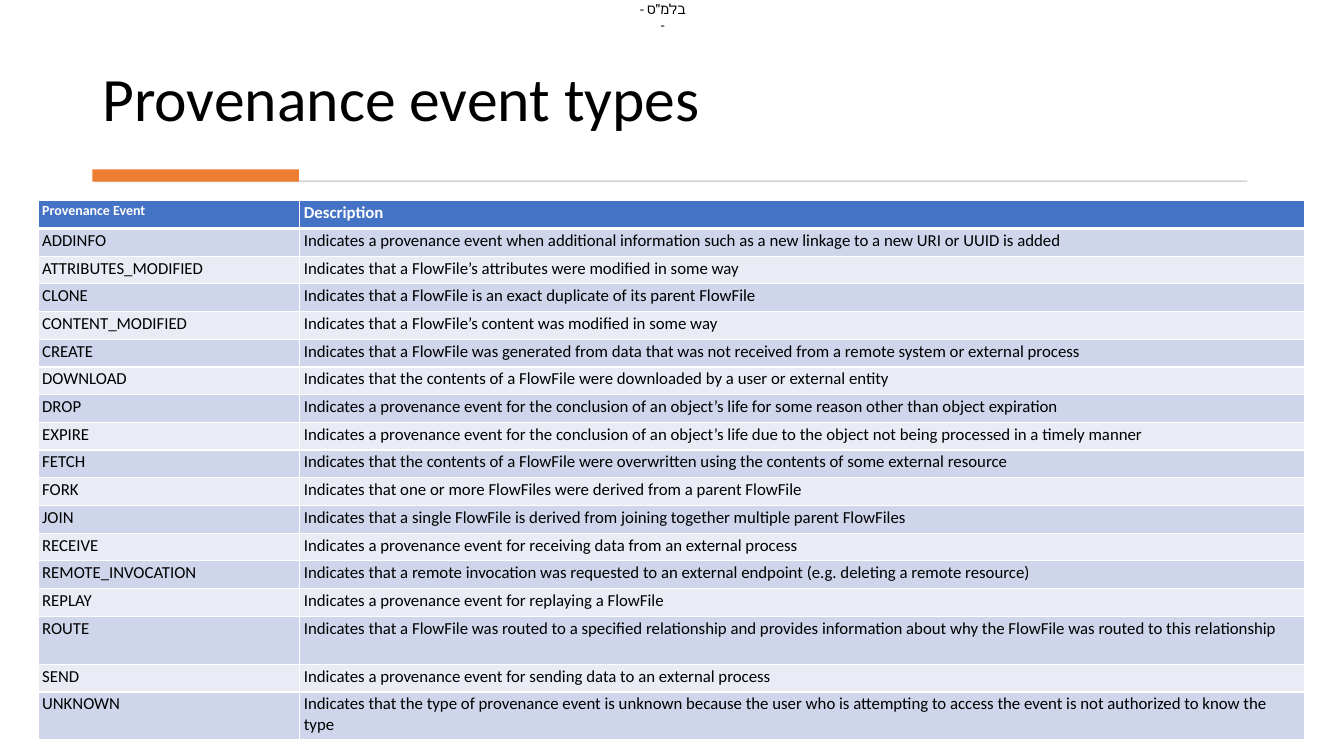
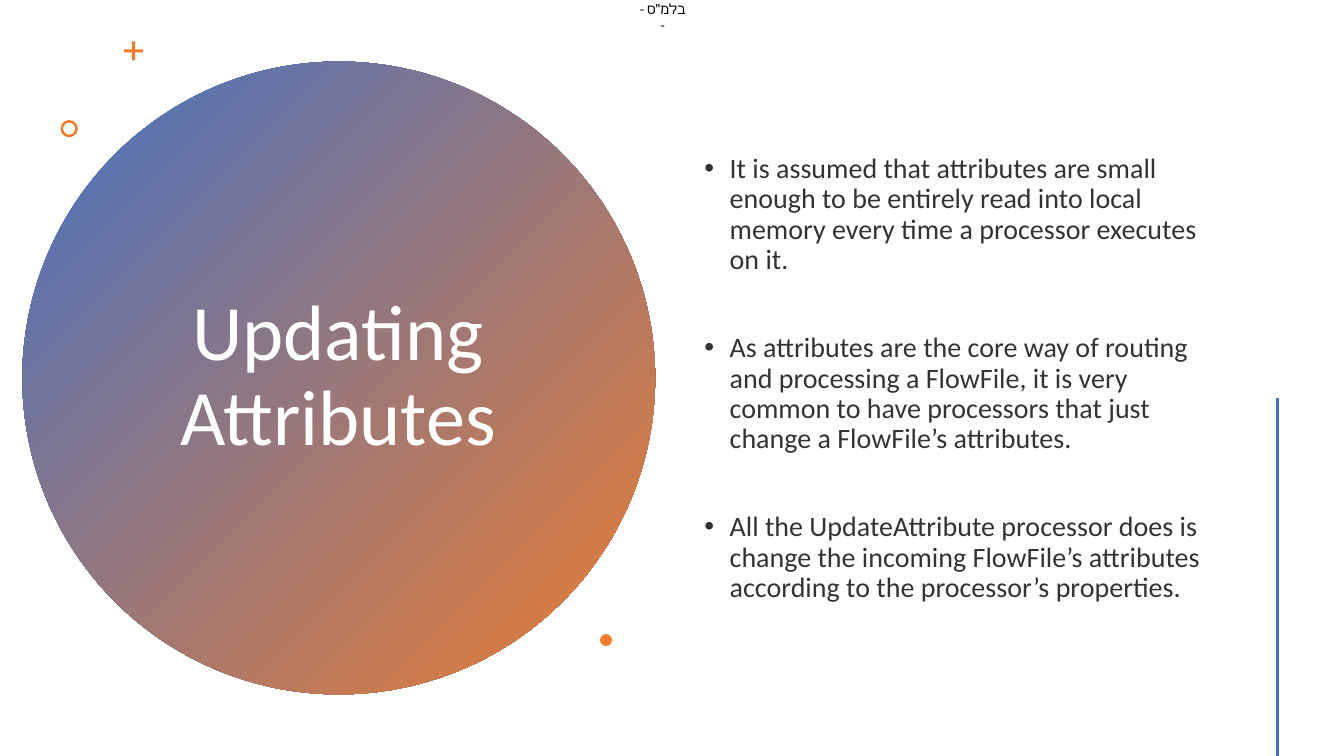
from lxml import etree
from pptx import Presentation, util as u
from pptx.dml.color import RGBColor
from pptx.enum import shapes, text
from pptx.oxml import ns

Pt = u.Pt
BLUE = RGBColor(0x44, 0x72, 0xC4)
ORANGE = RGBColor(0xED, 0x7D, 0x31)
BLACK = RGBColor(0, 0, 0)
WHITE = RGBColor(0xFF, 0xFF, 0xFF)
SOFT_BLACK = RGBColor(0x33, 0x33, 0x33)
GREY = RGBColor(0xD5, 0xD5, 0xD5)
BANDS = RGBColor(0xE9, 0xEB, 0xF5), RGBColor(0xCF, 0xD5, 0xEA)
FONT = "Calibri"
W, H = 960, 540
TABLE_W, NAME_W = 905, 187
ROW_H, TALL_H = 19.8, 34.3
TALL_ROWS = "ROUTE", "UNKNOWN"
CELL = dict(margin_left=Pt(2.9), margin_right=Pt(2.9),
            margin_top=Pt(1.4), margin_bottom=Pt(1.4))
NO_MARGIN = dict(margin_left=0, margin_right=0, margin_top=0, margin_bottom=0)

EVENTS = [
    ("Provenance Event", "Description"),
    ("ADDINFO", "Indicates a provenance event when additional information such as "
     "a new linkage to a new URI or UUID is added"),
    ("ATTRIBUTES_MODIFIED",
     "Indicates that a FlowFile’s attributes were modified in some way"),
    ("CLONE", "Indicates that a FlowFile is an exact duplicate of its parent FlowFile"),
    ("CONTENT_MODIFIED",
     "Indicates that a FlowFile’s content was modified in some way"),
    ("CREATE", "Indicates that a FlowFile was generated from data that was not "
     "received from a remote system or external process"),
    ("DOWNLOAD", "Indicates that the contents of a FlowFile were downloaded by a "
     "user or external entity"),
    ("DROP", "Indicates a provenance event for the conclusion of an object’s life "
     "for some reason other than object expiration"),
    ("EXPIRE", "Indicates a provenance event for the conclusion of an object’s life "
     "due to the object not being processed in a timely manner"),
    ("FETCH", "Indicates that the contents of a FlowFile were overwritten using the "
     "contents of some external resource"),
    ("FORK", "Indicates that one or more FlowFiles were derived from a parent FlowFile"),
    ("JOIN", "Indicates that a single FlowFile is derived from joining together "
     "multiple parent FlowFiles"),
    ("RECEIVE", "Indicates a provenance event for receiving data from an external process"),
    ("REMOTE_INVOCATION", "Indicates that a remote invocation was requested to an "
     "external endpoint (e.g. deleting a remote resource)"),
    ("REPLAY", "Indicates a provenance event for replaying a FlowFile"),
    ("ROUTE", "Indicates that a FlowFile was routed to a specified relationship and "
     "provides information about why the FlowFile was routed to this relationship"),
    ("SEND", "Indicates a provenance event for sending data to an external process"),
    ("UNKNOWN", "Indicates that the type of provenance event is unknown because the "
     "user who is attempting to access the event is not authorized to know the type"),
]
NOTES = [
    "It is assumed that attributes are small enough to be entirely read into local "
    "memory every time a processor executes on it.",
    "As attributes are the core way of routing and processing a FlowFile, it is very "
    "common to have processors that just change a FlowFile’s attributes.",
    "All the UpdateAttribute processor does is change the incoming FlowFile’s "
    "attributes according to the processor’s properties.",
]


def put(obj, **fmt):
    """Set each given attribute on an object."""
    for name, value in fmt.items():
        setattr(obj, name, value)


def place(sp, box):
    """Move a shape to a box in points."""
    put(sp, **dict(zip(("left", "top", "width", "height"), map(Pt, box))))


def write(p, words, size, color, bold=False, **fmt):
    """Write one run into a paragraph and format both."""
    put(p, **fmt)
    r = p.add_run()
    r.text = words
    put(r.font, name=FONT, size=Pt(size), bold=bold)
    r.font.color.rgb = color


def shape(s, kind, box, color, adjust=None):
    """Add a flat filled shape without outline."""
    sp = s.shapes.add_shape(kind, *map(Pt, box))
    sp.shadow.inherit = False
    sp.line.fill.background()
    sp.fill.solid()
    sp.fill.fore_color.rgb = color
    if adjust is not None:
        sp.adjustments[0] = adjust
    return sp


def title(s, box, words, size, color, anchor, align):
    """Place and format the title placeholder."""
    sp = s.shapes.title
    place(sp, box)
    put(sp.text_frame, vertical_anchor=anchor, word_wrap=True,
        auto_size=text.MSO_AUTO_SIZE.NONE)
    write(sp.text_frame.paragraphs[0], words, size, color,
          alignment=align, line_spacing=0.9)


def marking(s, box):
    """Add the classification mark at the top of a slide."""
    tf = s.shapes.add_textbox(*map(Pt, box)).text_frame
    put(tf, word_wrap=True, auto_size=text.MSO_AUTO_SIZE.SHAPE_TO_FIT_TEXT, **NO_MARGIN)
    write(tf.paragraphs[0], '- בלמ"ס -', 10, BLACK, alignment=text.PP_ALIGN.CENTER)


def new_slide(prs, layout):
    """Add a slide with the shared marking."""
    s = prs.slides.add_slide(prs.slide_layouts[layout])
    marking(s, (455, 0, 36.7, 12))
    return s


def title_rule(s, box):
    """Draw a thin rule with a thick start above it."""
    x, y, w, h = box
    shape(s, shapes.MSO_SHAPE.RECTANGLE, (x + 2, y + h - 1, w - 2, 1.4), GREY)
    shape(s, shapes.MSO_SHAPE.RECTANGLE, (x, y, 147.6, h), ORANGE)


def borders(cell, bottom):
    """Give a cell white borders."""
    tcPr = cell._tc.get_or_add_tcPr()
    for tag, width in (("a:lnL", 1), ("a:lnR", 1), ("a:lnT", 1), ("a:lnB", bottom)):
        ln = etree.SubElement(tcPr, ns.qn(tag), w=str(Pt(width)))
        fill = etree.SubElement(ln, ns.qn("a:solidFill"))
        etree.SubElement(fill, ns.qn("a:srgbClr"), val=str(WHITE))


def event_table(s, x, y, rows):
    """Build the banded table of events."""
    heights = [TALL_H if name in TALL_ROWS else ROW_H for name, _ in rows]
    tbl = s.shapes.add_table(len(rows), 2, Pt(x), Pt(y), Pt(TABLE_W), Pt(sum(heights))).table
    for col, width in zip(tbl.columns, (NAME_W, TABLE_W - NAME_W)):
        col.width = Pt(width)
    for i, (row, height) in enumerate(zip(rows, heights)):
        tbl.rows[i].height = Pt(height)
        head = i == 0
        for j, words in enumerate(row):
            cell = tbl.cell(i, j)
            put(cell, **CELL)
            borders(cell, 3 if head else 1)
            cell.fill.solid()
            cell.fill.fore_color.rgb = BLUE if head else BANDS[i % 2]
            write(cell.text_frame.paragraphs[0], words, 10 if head and j == 0 else 12,
                  WHITE if head else BLACK, head)


def title_circle(s, box, words):
    """Draw the gradient circle, its title and the small ornaments."""
    x, y, w, h = box
    circle = shape(s, shapes.MSO_SHAPE.OVAL, box, BLUE)
    circle.fill.gradient()
    circle.fill.gradient_angle = 315
    for stop, color, position in zip(circle.fill.gradient_stops, (BLUE, ORANGE), (0, 1)):
        stop.color.rgb = color
        stop.position = position
    s.shapes._spTree.insert(2, circle._element)
    title(s, (x + 82, y + 57.5, w - 165, h - 116), words, 56, WHITE,
          text.MSO_ANCHOR.MIDDLE, text.PP_ALIGN.CENTER)
    for kind, dx, dy, size, adjust in (
            (shapes.MSO_SHAPE.CROSS, 72.6, -14.4, 13.6, 0.42),
            (shapes.MSO_SHAPE.DONUT, 27.2, 41.7, 12.4, 0.15),
            (shapes.MSO_SHAPE.OVAL, 412.6, 408.9, 8.6, None)):
        shape(s, kind, (x + dx, y + dy, size, size), ORANGE, adjust)


def bullets(s, box, items):
    """Fill the body placeholder with spaced bullets."""
    sp = s.placeholders[1]
    place(sp, box)
    tf = sp.text_frame
    put(tf, vertical_anchor=text.MSO_ANCHOR.MIDDLE, word_wrap=True,
        auto_size=text.MSO_AUTO_SIZE.NONE)
    for i, words in enumerate(items):
        p = tf.add_paragraph() if i else tf.paragraphs[0]
        pPr = p._p.get_or_add_pPr()
        pPr.set("marL", str(Pt(18)))
        pPr.set("indent", str(-Pt(18)))
        write(p, words, 20, SOFT_BLACK, line_spacing=0.9,
              space_before=Pt(41.5 if i else 0), space_after=Pt(0))


def side_line(s, x, top, bottom):
    """Draw the vertical line near the right edge."""
    line = s.shapes.add_connector(shapes.MSO_CONNECTOR.STRAIGHT,
                                  Pt(x), Pt(top), Pt(x), Pt(bottom))
    line.line.color.rgb = BLUE
    line.line.width = Pt(2)
    etree.SubElement(line._element.spPr, ns.qn("a:effectLst"))


def events_slide(prs):
    """Build the slide with the table of event types."""
    s = new_slide(prs, 5)
    title(s, (66, 20, 827, 80), "Provenance event types", 44, BLACK,
          text.MSO_ANCHOR.BOTTOM, text.PP_ALIGN.LEFT)
    title_rule(s, (66, 121, 825, 8.8))
    event_table(s, 27.2, 143.4, EVENTS)


def attributes_slide(prs):
    """Build the slide about updating attributes."""
    s = new_slide(prs, 1)
    title_circle(s, (16, 44, 452, 452), "Updating Attributes")
    bullets(s, (496, 41, 376, 459.4), NOTES)
    side_line(s, 912.4, 284, H)


def main():
    """Build and save the presentation."""
    prs = Presentation()
    put(prs, slide_width=Pt(W), slide_height=Pt(H))
    events_slide(prs)
    attributes_slide(prs)
    prs.save("out.pptx")


if __name__ == "__main__":
    main()
